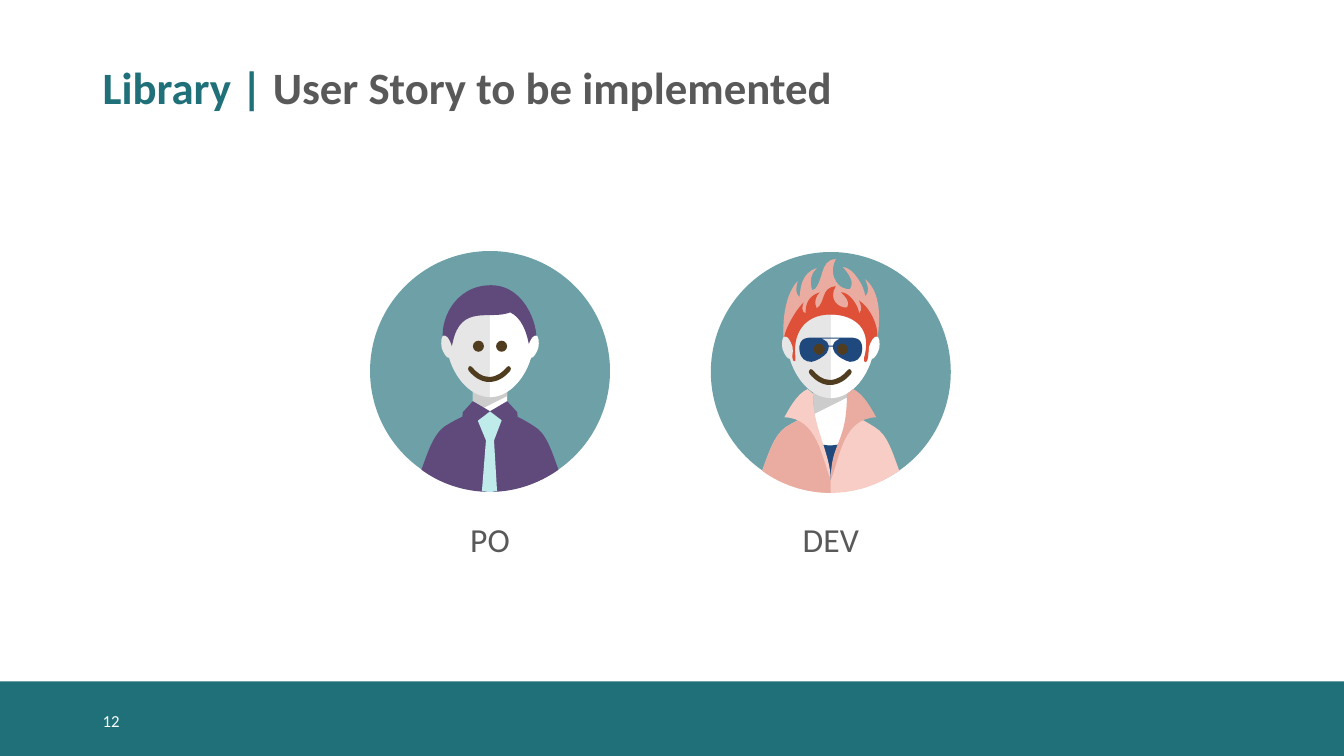
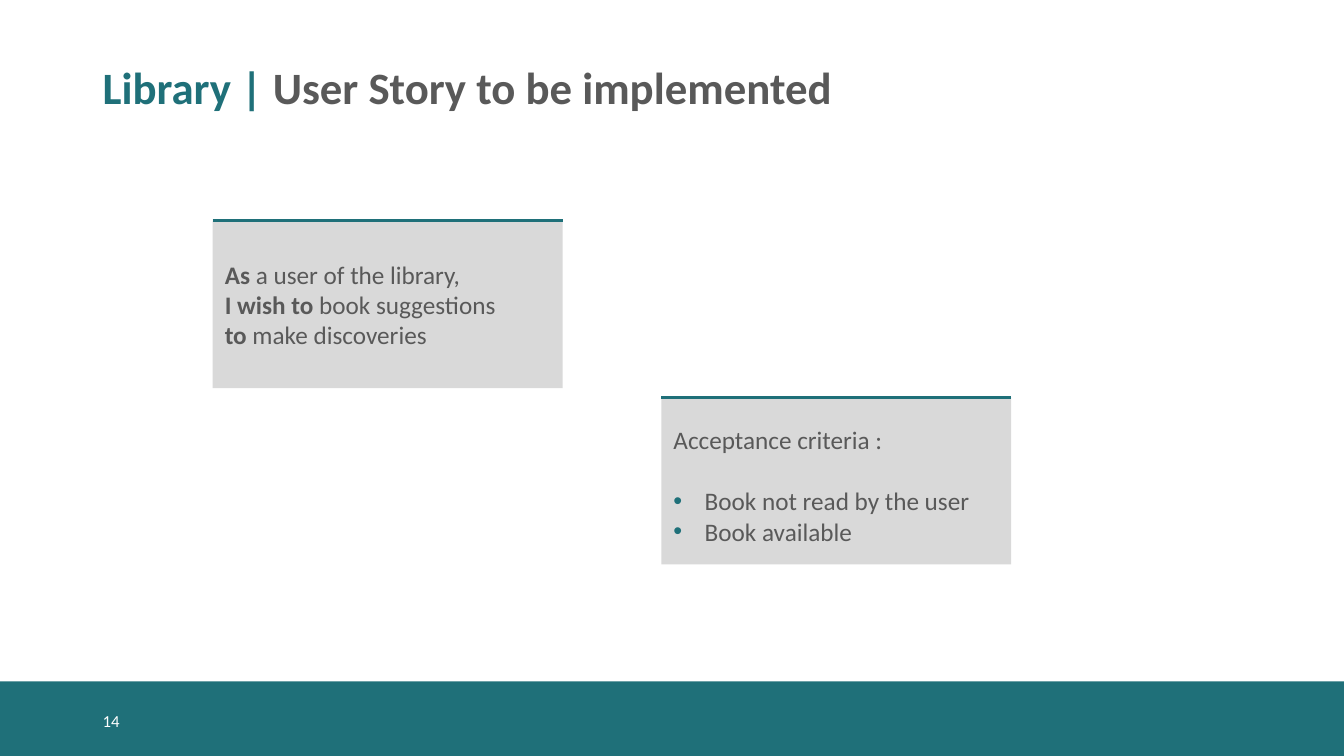
import pptx
import pptx.dml.color
import pptx.enum.shapes
import pptx.enum.text
import pptx.oxml.ns
import pptx.util
from lxml import etree

PX = 9144
WIDTH, HEIGHT = 1333, 750
FONT = "Calibri"
TEAL, GREY, WHITE, CARD = "1F7079", "595959", "FFFFFF", "D9D9D9"
PURPLE, MINT, BROWN, NAVY = "604A7B", "BFEBEA", "503D20", "1F497D"
ROSE, BLUSH, RED = "EAACA1", "F7CDC5", "DE5037"
PALE, SHADE = "E6E6E6", "CCCCCC"
RIGHT, LEFT = 1, -1
CENTER = pptx.enum.text.PP_ALIGN.CENTER
MIDDLE = pptx.enum.text.MSO_ANCHOR.MIDDLE
TOP = pptx.enum.text.MSO_ANCHOR.TOP
RECTANGLE = pptx.enum.shapes.MSO_SHAPE.RECTANGLE
OVAL = pptx.enum.shapes.MSO_SHAPE.OVAL

BODY = [(-45, 174), (-56, 182, -61, 198, -68, 217), (-49, 231, -25, 239, 0, 239),
        (25, 239, 48, 231, 68, 217), (61, 198, 56, 181, 44, 174),
        (24, 161, 12, 158, 0, 158), (-12, 158, -24, 161, -45, 174)]
LEFT_BODY = BODY[:3] + [(0, 158)] + BODY[-1:]
FACE = [(0, 51), (71, 51, 42, 145, 0, 145), (-42, 145, -71, 51, 0, 51)]
RIGHT_FACE = FACE[:2]
NECK_SHADOW = [(17, 144), (17, 138), (-17, 138), (-17, 161)]
EAR = [(46, 84), (48, 84, 49, 90, 48, 96), (46, 102, 43, 106, 41, 106),
       (38, 105, 37, 100, 38, 94), (40, 88, 43, 83, 46, 84)]
MOUTH = [(-21, 119), (-16, 125, -9, 130, -1, 130), (8, 130, 15, 125, 20, 119),
         (21, 118, 21, 116, 20, 115), (19, 114, 18, 114, 17, 115),
         (13, 120, 7, 125, -1, 125), (-8, 125, -14, 120, -18, 115),
         (-19, 114, -21, 114, -21, 115), (-22, 116, -22, 118, -21, 119)]

SHIRT_NECK = [(-17, 109), (17, 109), (17, 158), (17, 174, -17, 176, -17, 158)]
SHORT_HAIR = [(20, 61), (31, 66, 36, 80, 38, 90), (42, 105, 40, 104, 45, 93),
              (50, 82, 38, 34, 1, 34), (-36, 34, -51, 71, -46, 91),
              (-41, 111, -41, 106, -37, 91), (-29, 52, 0, 69, 20, 61)]
TIE = [(-4, 188), (-8, 238), (-5, 239, -3, 239, 0, 239), (2, 239, 5, 239, 7, 238),
       (4, 188), (15, 159), (-16, 159)]
COLLAR = [(17, 149), (27, 160), (29, 181), (0, 159)]

FLAMES = [(0, 109), (-6, 120, -44, 96, -45, 93), (-49, 81, -48, 45, -33, 29),
          (-34, 34, -36, 41, -31, 45), (-30, 35, -29, 21, -14, 16),
          (-19, 21, -22, 29, -18, 39), (-6, 30, -12, 8, 5, 7),
          (-4, 25, 10, 39, 19, 37), (24, 29, 17, 21, 12, 15),
          (22, 15, 34, 35, 34, 44), (39, 39, 37, 34, 34, 27),
          (53, 42, 48, 78, 45, 93), (44, 96, 6, 120, 0, 109)]
OPEN_NECK = [(-17, 113), (16, 113), (16, 162), (16, 170, 4, 200, 0, 226),
             (-3, 210, -17, 171, -17, 162)]
UNDERSHIRT = [(8, 191), (5, 202, 1, 214, 0, 226), (-2, 218, -6, 204, -10, 191),
              (-7, 191, -4, 192, 0, 192), (3, 192, 5, 191, 8, 191)]
HAIR_BASE = [(-1, 62), (23, 62, 34, 75, 38, 90), (42, 105, 40, 103, 45, 92),
             (50, 81, 38, 34, 1, 34), (-36, 34, -51, 70, -46, 90),
             (-41, 110, -41, 106, -38, 90), (-35, 75, -28, 63, -1, 62)]
SPIKES = [(0, 62), (-28, 62, -38, 83, -35, 105), (-34, 110, -38, 109, -38, 105),
          (-38, 100, -42, 89, -47, 89), (-47, 79, -36, 59, -27, 50),
          (-28, 53, -30, 59, -25, 61), (-25, 54, -24, 44, -11, 40),
          (-15, 44, -17, 50, -14, 56), (-5, 50, -10, 35, 5, 34),
          (-3, 47, 8, 56, 16, 55), (20, 49, 14, 44, 10, 40),
          (18, 39, 28, 54, 28, 61), (32, 57, 30, 53, 28, 48),
          (40, 56, 48, 75, 46, 87), (44, 84, 39, 85, 37, 104),
          (36, 112, 32, 110, 33, 105), (41, 77, 25, 62, 0, 62)]
GLASSES = [(0, 94), (2, 94), (2, 96, 3, 98, 4, 100), (7, 104, 14, 108, 19, 109),
           (25, 109, 30, 106, 31, 98), (32, 91, 29, 87, 26, 86),
           (24, 85, 21, 85, 19, 85), (0, 85), (0, 86), (10, 86),
           (9, 86, 7, 87, 7, 87), (4, 88, 3, 90, 2, 93), (0, 93)]
LEFT_LAPEL = [(0, 226), (0, 200, -20, 169, -17, 141), (-19, 139, -21, 138, -23, 136),
              (-34, 141, -42, 157, -46, 164), (-13, 165, -9, 204, 0, 226)]
RIGHT_LAPEL = [(0, 226), (0, 188, 16, 191, 16, 141), (18, 139, 20, 138, 22, 136),
               (33, 141, 41, 157, 45, 164), (12, 165, 9, 204, 0, 226)]


def px(*lengths):
    return [round(length * PX) for length in lengths]


def rgb(color):
    return pptx.dml.color.RGBColor.from_string(color)


def paint(shape, color):
    shape.shadow.inherit = False
    shape.fill.solid()
    shape.fill.fore_color.rgb = rgb(color)
    shape.line.fill.background()
    return shape


def add_preset(page, kind, place, color):
    return paint(page.shapes.add_shape(kind, *px(*place)), color)


def add_xml(parent, tag, **attributes):
    return etree.SubElement(parent, pptx.oxml.ns.qn(tag), attributes)


def bend(shape, outline):
    lines = iter(shape._element.findall(".//" + pptx.oxml.ns.qn("a:lnTo")))
    for segment in outline[1:]:
        first, *others = [next(lines) for _ in segment[::2]]
        if others:
            first.tag = pptx.oxml.ns.qn("a:cubicBezTo")
        for line in others:
            first.append(line[0])
            line.getparent().remove(line)


def add_outline(page, origin, outline, color, side=RIGHT):
    points = [px(origin[0] + side * x, origin[1] + y)
              for segment in outline for x, y in zip(segment[::2], segment[1::2])]
    builder = page.shapes.build_freeform(*points[0], scale=1.0)
    builder.add_line_segments(points[1:], close=True)
    shape = paint(builder.convert_to_shape(), color)
    bend(shape, outline)


def setup_frame(shape, anchor, margins):
    frame = shape.text_frame
    frame.word_wrap = True
    frame.vertical_anchor = anchor
    (frame.margin_left, frame.margin_top,
     frame.margin_right, frame.margin_bottom) = px(*margins)
    return frame


def add_span(para, text, size, color, bold=False):
    span = para.add_run()
    span.text = text
    span.font.name = FONT
    span.font.size = pptx.util.Pt(size)
    span.font.color.rgb = rgb(color)
    span.font.bold = bold


def add_text(page, place, spans, size, anchor=MIDDLE):
    box = page.shapes.add_textbox(*px(*place))
    para = setup_frame(box, anchor, (10, 5, 10, 5)).paragraphs[0]
    for text, color, bold in spans:
        add_span(para, text, size, color, bold)
    return para


def add_bullet(para, color):
    properties = para._p.get_or_add_pPr()
    indent, = px(31)
    properties.set("marL", str(indent))
    properties.set("indent", str(-indent))
    add_xml(add_xml(properties, "a:buClr"), "a:srgbClr", val=color)
    add_xml(properties, "a:buFont", typeface="Arial")
    add_xml(properties, "a:buChar", char="•")


def add_page(deck, number):
    page = deck.slides.add_slide(deck.slide_layouts[6])
    add_preset(page, RECTANGLE, (0, 676, WIDTH, HEIGHT - 676), TEAL)
    title = add_text(page, (92, 40, 1150, 99), [
        ("Library | ", TEAL, True), ("User Story to be implemented", GREY, True)], 32)
    title.line_spacing = 0.9
    add_text(page, (92, 695, 137, 40), [(str(number), WHITE, False)], 12)
    return page


def add_card(page, left, top, top_margin):
    width, height = 347, 166
    card = add_preset(page, RECTANGLE, (left, top, width, height), CARD)
    rule = page.shapes.add_connector(
        pptx.enum.shapes.MSO_CONNECTOR.STRAIGHT, *px(left, top, left + width, top))
    rule.line.color.rgb = rgb(TEAL)
    rule.line.width = pptx.util.Pt(2)
    add_xml(rule._element.spPr, "a:effectLst")
    return setup_frame(card, MIDDLE, (12, top_margin, 10, 0))


def add_card_line(frame, first, spans):
    para = frame.paragraphs[0] if first else frame.add_paragraph()
    para.alignment = pptx.enum.text.PP_ALIGN.LEFT
    for text, bold in spans:
        add_span(para, text, 18, GREY, bold)
    return para


def add_disc(page, origin, label):
    left, top, size = origin[0] - 119, origin[1], 238
    disc = add_preset(page, OVAL, (left, top, size, size), TEAL)
    color = disc._element.spPr.find(".//" + pptx.oxml.ns.qn("a:srgbClr"))
    add_xml(color, "a:alpha", val="65000")
    caption = add_text(page, (left, 510, size, 50), [(label, GREY, False)], 24, TOP)
    caption.alignment = CENTER


def add_head(page, origin, hair):
    add_outline(page, origin, NECK_SHADOW, SHADE)
    add_outline(page, origin, FACE, PALE)
    add_outline(page, origin, RIGHT_FACE, WHITE)
    for outline, color in hair:
        add_outline(page, origin, outline, color)
    add_outline(page, origin, EAR, WHITE)
    add_outline(page, origin, EAR, PALE, LEFT)


def add_smile(page, origin, drop=0):
    x, y = origin[0], origin[1] + drop
    add_outline(page, (x, y), MOUTH, BROWN)
    for eye in (-17, 6):
        add_preset(page, OVAL, (x + eye, y + 89, 11, 11), BROWN)


def add_owner(page, origin):
    add_disc(page, origin, "PO")
    add_outline(page, origin, BODY, PURPLE)
    add_preset(page, RECTANGLE, (origin[0] - 22, origin[1] + 159, 48, 53), PURPLE)
    add_outline(page, origin, SHIRT_NECK, WHITE)
    add_head(page, origin, [(SHORT_HAIR, PURPLE)])
    add_outline(page, origin, TIE, MINT)
    for side in (LEFT, RIGHT):
        add_outline(page, origin, COLLAR, PURPLE, side)
    add_smile(page, origin)


def add_developer(page, origin):
    add_disc(page, origin, "DEV")
    for outline, color in [(FLAMES, ROSE), (BODY, BLUSH), (LEFT_BODY, ROSE),
                           (OPEN_NECK, WHITE), (UNDERSHIRT, NAVY)]:
        add_outline(page, origin, outline, color)
    add_head(page, origin, [(HAIR_BASE, ROSE), (SPIKES, RED)])
    for side in (LEFT, RIGHT):
        add_outline(page, origin, GLASSES, NAVY, side)
    add_outline(page, origin, LEFT_LAPEL, BLUSH)
    add_outline(page, origin, RIGHT_LAPEL, ROSE)
    add_smile(page, origin, drop=2)


def add_story(page):
    frame = add_card(page, 211, 219, 0)
    lines = [("As", " a user of the library,"), ("I wish to ", "book suggestions"),
             ("to", " make discoveries")]
    for index, (lead, rest) in enumerate(lines):
        add_card_line(frame, index == 0, [(lead, True), (rest, False)])


def add_criteria(page):
    frame = add_card(page, 656, 394, 9)
    add_card_line(frame, True, [("Acceptance criteria :", False)])
    for index, text in enumerate(["Book not read by the user", "Book available"]):
        para = add_card_line(frame, False, [(text, False)])
        para.space_before = pptx.util.Pt(0 if index else 22)
        add_bullet(para, TEAL)


def main():
    deck = pptx.Presentation()
    deck.slide_width, deck.slide_height = px(WIDTH, HEIGHT)
    people = add_page(deck, 12)
    add_owner(people, (486, 249))
    add_developer(people, (824, 250))
    story = add_page(deck, 14)
    add_story(story)
    add_criteria(story)
    deck.save("out.pptx")


if __name__ == "__main__":
    main()
